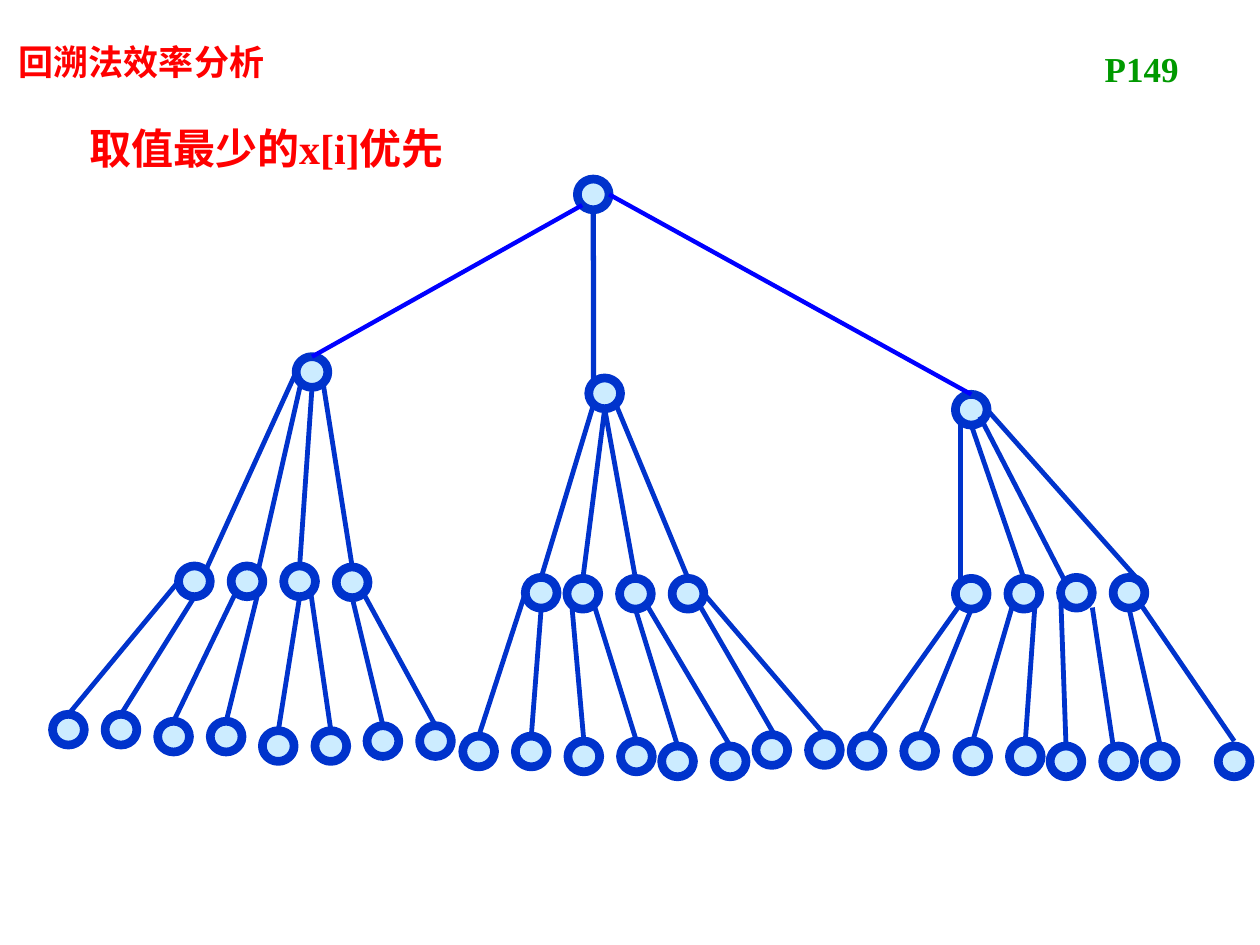
"""Build a slide showing a backtracking tree that branches on the smallest domain first."""
from lxml.etree import SubElement
from pptx import Presentation
from pptx.dml.color import RGBColor
from pptx.enum.shapes import MSO_CONNECTOR, MSO_SHAPE
from pptx.oxml.ns import qn
from pptx.util import Cm, Pt

COLORS = {"title": "FF0000", "page": "009900", "node": "CCECFF",
          "ring": "0033CC", "branch": "0000FF"}
CHINESE, LATIN = "Noto Sans CJK SC", "Times New Roman"

TEXTS = [
    ((0.13, 0.69, 7.29, 1.12), True, 20, "title", [("回溯法效率分析", CHINESE)]),
    ((22.02, 0.84, 2.01, 1.12), False, 20, "page", [("P149", LATIN)]),
    ((1.55, 2.34, 8.05, 1.27), False, 24, "title",
     [("取值最少的", CHINESE), ("x[i]", LATIN), ("优先", CHINESE)]),
]

NODE_WIDTH, NODE_HEIGHT, LEAF_GAP = 0.64, 0.62, 1.06
SITES = {
    "top": (0.5, 0), "bottom": (0.5, 1), "left": (0, 0.5), "right": (1, 0.5),
    "top left": (0.15, 0.15), "top right": (0.85, 0.15),
    "bottom left": (0.15, 0.85), "bottom right": (0.85, 0.85),
    "inside": (0.77, 0.72), "corner": (1, 0.98),
    "off top": (0.33, 0), "above": (0.5, -0.16), "below top": (0.63, 0.09),
}

ROOT = (11.64, 3.61)
BRANCHES = [
    ((5.97, 7.19), "bottom left", "top", "branch", 2.5),
    ((11.87, 7.62), "bottom", "top left", "ring", 3),
    ((19.26, 7.95), "right", "top", "branch", 2.5),
]
CHILDREN = [
    [((3.6, 11.41), "left", "top right"), ((4.66, 11.41), "bottom left", "top right"),
     ((5.72, 11.41), "bottom", "top"), ((6.78, 11.43), "bottom right", "top")],
    [((10.59, 11.64), "bottom left", "top"), ((11.43, 11.66), "bottom", "top"),
     ((12.49, 11.66), "bottom", "top"), ((13.55, 11.66), "bottom right", "top")],
    [((19.26, 11.66), "bottom left", "top left"), ((20.32, 11.66), "bottom", "top"),
     ((21.38, 11.64), "inside", "top left"), ((22.44, 11.64), "right", "top right")],
]
LEAF_PAIRS = [
    ((1.06, 14.4), "left", "bottom"),
    ((3.18, 14.54), "bottom left", "bottom right"),
    ((5.29, 14.73), "bottom", "bottom right"),
    ((7.4, 14.63), "bottom", "bottom right"),
    ((9.33, 14.84), "left", "bottom"),
    ((11.45, 14.94), "bottom left", "bottom right"),
    ((13.34, 15.04), "bottom", "bottom right"),
    ((15.24, 14.81), "bottom right", "right"),
    ((17.16, 14.83), "bottom left", "bottom"),
    ((19.29, 14.94), "bottom left", "bottom right"),
    ((21.17, 15.04), "left", "corner"),
    ((23.07, 15.04), "bottom", "bottom right"),
]
LAST_LEAF_GAP = 1.49
LEAF_SITES = {(7, 0): "below top", (10, 1): "off top", (11, 1): "above"}


def color(name):
    return RGBColor.from_string(COLORS[name])


def add_text(page, place, wrap, size, tint, spans):
    box = page.shapes.add_textbox(*map(Cm, place))
    box.text_frame.word_wrap = wrap
    paragraph = box.text_frame.paragraphs[0]
    for words, typeface in spans:
        span = paragraph.add_run()
        span.text = words
        span.font.name = typeface
        span.font.size = Pt(size)
        span.font.bold = True
        span.font.color.rgb = color(tint)
        east_asian = SubElement(span.font._element, qn("a:ea"))
        east_asian.set("typeface", typeface)


def add_node(page, place):
    node = page.shapes.add_shape(
        MSO_SHAPE.OVAL, *map(Cm, (*place, NODE_WIDTH, NODE_HEIGHT)))
    node.shadow.inherit = False
    node.fill.solid()
    node.fill.fore_color.rgb = color("node")
    node.line.color.rgb = color("ring")
    node.line.width = Pt(5)


def site_point(place, site):
    across, down = SITES[site]
    return Cm(place[0] + across * NODE_WIDTH), Cm(place[1] + down * NODE_HEIGHT)


def add_edge(page, parent, child, start, end, tint="ring", width=2.75):
    edge = page.shapes.add_connector(
        MSO_CONNECTOR.STRAIGHT, *site_point(parent, start), *site_point(child, end))
    edge.line.color.rgb = color(tint)
    edge.line.width = Pt(width)
    SubElement(edge._element.spPr, qn("a:effectLst"))


def tree_edges():
    pairs = iter(enumerate(LEAF_PAIRS))
    for (branch, *style), children in zip(BRANCHES, CHILDREN):
        yield ROOT, branch, *style
        for child, start, end in children:
            yield branch, child, start, end
            number, ((left, top), *starts) = next(pairs)
            gap = LAST_LEAF_GAP if number == len(LEAF_PAIRS) - 1 else LEAF_GAP
            for index, leaf_start in enumerate(starts):
                leaf_end = LEAF_SITES.get((number, index), "top")
                yield child, (left + index * gap, top), leaf_start, leaf_end


def main():
    deck = Presentation()
    deck.slide_width, deck.slide_height = Cm(25.4), Cm(19.05)
    page = deck.slides.add_slide(deck.slide_layouts[6])
    for text in TEXTS:
        add_text(page, *text)
    edges = list(tree_edges())
    for place in [ROOT, *(edge[1] for edge in edges)]:
        add_node(page, place)
    for edge in edges:
        add_edge(page, *edge)
    deck.save("out.pptx")


if __name__ == "__main__":
    main()
